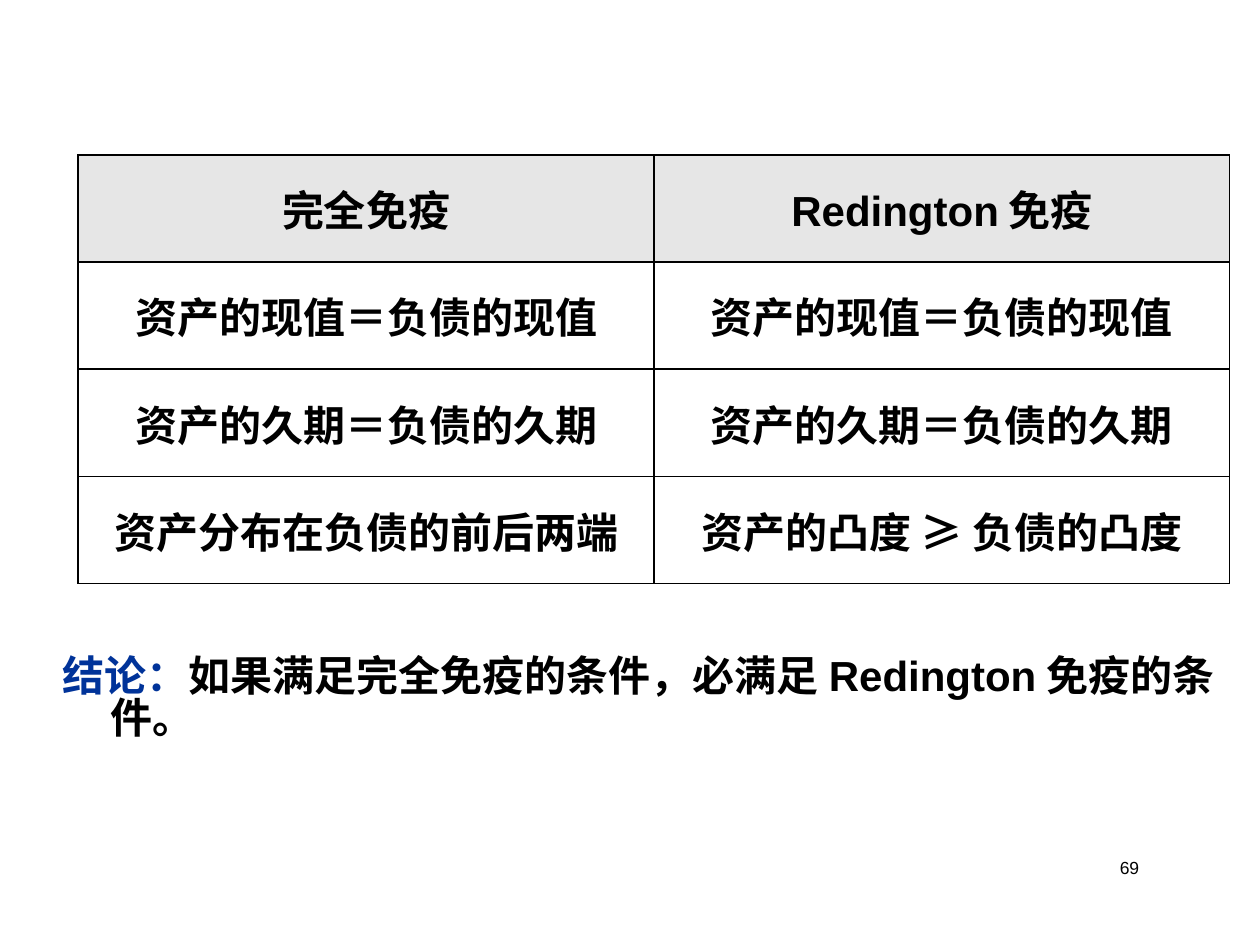
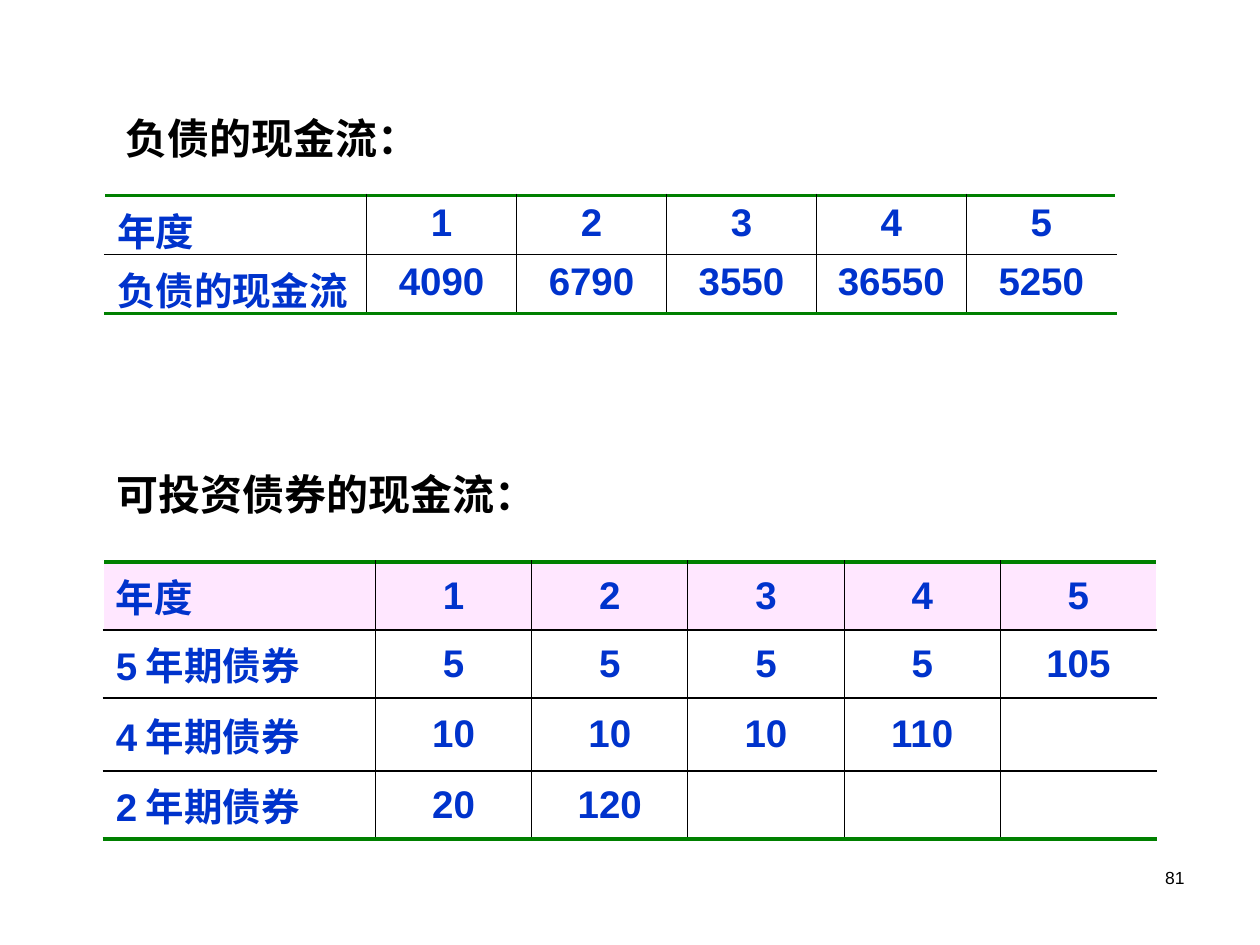
from pptx import Presentation
from pptx.dml.color import RGBColor
from pptx.enum.text import MSO_ANCHOR, PP_ALIGN
from pptx.oxml import parse_xml
from pptx.oxml.ns import nsdecls
from pptx.util import Inches, Pt

LEFT, CENTER, RIGHT = PP_ALIGN.LEFT, PP_ALIGN.CENTER, PP_ALIGN.RIGHT
TOP, MIDDLE = MSO_ANCHOR.TOP, MSO_ANCHOR.MIDDLE
SANS, SERIF = "Arial", "Times New Roman"
BLACK, WHITE, GREY, PINK = "000000", "FFFFFF", "E6E6E6", "FFE7FF"
NAVY, BLUE, GREEN = "003399", "0033CC", "008000"
YEARS = ["年度", "1", "2", "3", "4", "5"]


def color(code):
    return RGBColor.from_string(code)


def style(font, size, code, bold=True, name=SANS):
    font.name, font.size, font.bold = name, Pt(size), bold
    font.color.rgb = color(code)


class Deck:
    def __init__(self):
        self.prs = Presentation()
        self.prs.slide_width, self.prs.slide_height = Inches(10), Inches(7.5)
        self.slide = None

    def page(self, number, left, top):
        """Start a slide and put its number at the given place."""
        self.slide = self.prs.slides.add_slide(self.prs.slide_layouts[6])
        para = self.text(left, top, 2.33, 0.5, number)
        para.alignment = RIGHT
        style(para.font, 10, BLACK, bold=False)

    def text(self, left, top, width, height, words="", wrap=True):
        box = self.slide.shapes.add_textbox(
            Inches(left), Inches(top), Inches(width), Inches(height))
        box.text_frame.word_wrap = wrap
        para = box.text_frame.paragraphs[0]
        para.text = words
        return para

    def title(self, left, top, width, words):
        para = self.text(left, top, width, 0.5, words, wrap=False)
        style(para.font, 24, BLACK)

    def note(self, left, top, width, height, parts):
        """Add a hanging paragraph from (words, colour, font) parts."""
        para = self.text(left, top, width, height)
        para.line_spacing, para.space_before = 0.82, Pt(3)
        props = para._p.get_or_add_pPr()
        props.set("marL", str(Inches(0.38)))
        props.set("indent", str(Inches(-0.38)))
        for words, code, name in parts:
            run = para.add_run()
            run.text = words
            style(run.font, 24, code, name=name)

    def table(self, left, top, cols, heights, rows):
        frame = self.slide.shapes.add_table(
            len(rows), len(cols), Inches(left), Inches(top),
            Inches(sum(cols)), Inches(sum(heights)))
        grid = frame.table
        grid.first_row = grid.horz_banding = False
        for col, width in zip(grid.columns, cols):
            col.width = Inches(width)
        for row, height in zip(grid.rows, heights):
            row.height = Inches(height)
        for r, row in enumerate(rows):
            for c, words in enumerate(row):
                grid.cell(r, c).text = words
        return grid

    def cell(self, cell, fill, size, code, align, anchor=MIDDLE, name=SANS):
        cell.fill.solid()
        cell.fill.fore_color.rgb = color(fill)
        cell.vertical_anchor = anchor
        para = cell.text_frame.paragraphs[0]
        para.alignment = align
        style(para.font, size, code, name=name)

    def border(self, cell, sides):
        """Draw sides, given in the order L, R, T, B as (side, colour, points)."""
        props = cell._tc.get_or_add_tcPr()
        for spot, (side, code, points) in enumerate(sides):
            props.insert(spot, parse_xml(
                f'<a:ln{side} {nsdecls("a")} w="{Pt(points)}"><a:solidFill>'
                f'<a:srgbClr val="{code}"/></a:solidFill></a:ln{side}>'))

    def rules(self, left, top, cols, heights, rows):
        """Add a condition table with every border drawn."""
        grid = self.table(left, top, cols, heights, rows)
        for r in range(len(rows)):
            for c in range(len(cols)):
                cell = grid.cell(r, c)
                fill, name = (WHITE, SERIF) if r else (GREY, SANS)
                self.cell(cell, fill, 24, BLACK, CENTER, name=name)
                self.border(cell, [(side, BLACK, 1) for side in "LRTB"])

    def flows(self, left, top, cols, heights, rows, head=WHITE, anchor=MIDDLE):
        """Add a cash flow table, open at the sides, green above and below."""
        grid = self.table(left, top, cols, heights, rows)
        last, end = len(rows) - 1, len(cols) - 1
        for r in range(last + 1):
            for c in range(end + 1):
                cell = grid.cell(r, c)
                self.cell(cell, WHITE if r else head, 22, BLUE,
                          CENTER if c else LEFT, anchor)
                if anchor == TOP:
                    cell.margin_bottom = 0
                sides = [("L", BLACK, 0.75)] if c else []
                if c < end:
                    sides.append(("R", BLACK, 0.75))
                sides.append(("T", BLACK, 1) if r else ("T", GREEN, 2.25))
                sides.append(("B", BLACK, 1) if r < last
                             else ("B", GREEN, 2.25))
                self.border(cell, sides)


def compare(deck):
    deck.page("69", 6.81, 6.75)
    deck.note(0.4, 5.18, 9.57, 1.34, [
        ("结论：", NAVY, SERIF),
        ("如果", BLACK, SERIF),
        ("满足完全免疫的条件，必满足Redington免疫的条件。", BLACK, SANS)])
    deck.rules(0.62, 1.23, [4.57] * 2, [0.85] * 4, [
        ["完全免疫", "Redington免疫"],
        ["资产的现值＝负债的现值"] * 2,
        ["资产的久期＝负债的久期"] * 2,
        ["资产分布在负债的前后两端", "资产的凸度 ≥ 负债的凸度"]])


def cash(deck):
    deck.page("81", 7.17, 6.83)
    deck.flows(0.82, 4.46, [2.16] + [1.24] * 5, [0.54, 0.54, 0.58, 0.54], [
        YEARS,
        ["5年期债券", "5", "5", "5", "5", "105"],
        ["4年期债券", "10", "10", "10", "110", ""],
        ["2年期债券", "20", "120", "", "", ""]], head=PINK)
    deck.title(0.83, 3.67, 3.55, "可投资债券的现金流：")
    deck.flows(0.83, 1.55, [2.08] + [1.19] * 5, [0.47] * 2, [
        YEARS,
        ["负债的现金流", "4090", "6790", "3550", "36550", "5250"]], anchor=TOP)
    deck.title(0.9, 0.84, 2.55, "负债的现金流：")


def main():
    deck = Deck()
    compare(deck)
    cash(deck)
    deck.prs.save("out.pptx")


if __name__ == "__main__":
    main()
